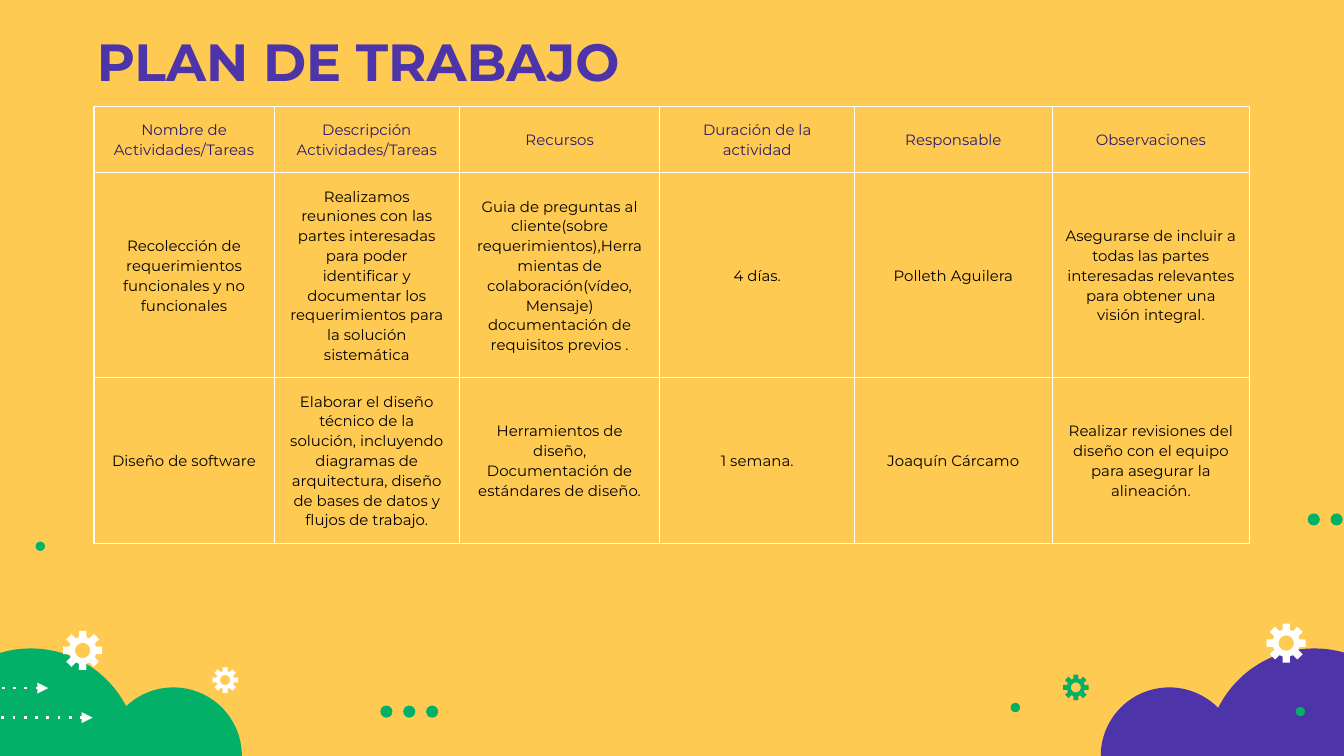
from math import cos, pi, sin

from lxml import etree
from pptx import Presentation
from pptx.dml.color import RGBColor
from pptx.enum.shapes import MSO_CONNECTOR, MSO_SHAPE
from pptx.enum.text import MSO_ANCHOR, MSO_AUTO_SIZE, PP_ALIGN
from pptx.oxml.ns import qn
from pptx.util import Inches, Pt

OVAL = MSO_SHAPE.OVAL
STRAIGHT = MSO_CONNECTOR.STRAIGHT
MIDDLE = MSO_ANCHOR.MIDDLE
NO_FIT = MSO_AUTO_SIZE.NONE
LEFT, CENTER = PP_ALIGN.LEFT, PP_ALIGN.CENTER

# The grid has square units of a tenth of an inch.
COLUMNS, ROWS = 100, 56.25

YELLOW, PURPLE, GREEN = "FFCA51", "4D34A8", "03B068"
WHITE, BLACK, INDIGO = "FFFFFF", "000000", "2C1A6D"

COLUMN_WIDTHS = [13.4, 13.8, 14.9, 14.5, 14.7, 14.7]
ROW_HEIGHTS = [4.4, 9.2, 10.6]
PLAN = [
    ["Nombre de Actividades/Tareas", "Descripción Actividades/Tareas",
     "Recursos", "Duración de la actividad", "Responsable", "Observaciones"],
    ["Recolección de requerimientos funcionales y no funcionales",
     "Realizamos reuniones con las partes interesadas para poder identificar "
     "y documentar los requerimientos para la solución sistemática",
     "Guia de preguntas al cliente(sobre requerimientos),Herramientas de "
     "colaboración(vídeo, Mensaje) documentación de requisitos previos .",
     "4 días.", "Polleth Aguilera",
     "Asegurarse de incluir a todas las partes interesadas relevantes para "
     "obtener una visión integral."],
    ["Diseño de software",
     "Elaborar el diseño técnico de la solución, incluyendo diagramas de "
     "arquitectura, diseño de bases de datos y flujos de trabajo.",
     "Herramientos de diseño, Documentación de estándares de diseño.",
     "1 semana.", "Joaquín Cárcamo",
     "Realizar revisiones del diseño con el equipo para asegurar la "
     "alineación."],
]


def rgb(value):
    return RGBColor.from_string(value)


def grid(units):
    return Inches(units / 10)


def arc(x, y, radius, start, end, steps=64):
    """Return points along a circle, with angles in radians."""
    angles = [start + (end - start) * i / steps for i in range(steps + 1)]
    return [(x + radius * cos(a), y + radius * sin(a)) for a in angles]


class SlideBuilder:
    font = "Montserrat"

    def __init__(self, prs, background):
        self.slide = prs.slides.add_slide(prs.slide_layouts[5])
        self.shapes = self.slide.shapes
        fill = self.slide.background.fill
        fill.solid()
        fill.fore_color.rgb = rgb(background)

    def paint(self, sp, color):
        sp.shadow.inherit = False
        sp.fill.solid()
        sp.fill.fore_color.rgb = rgb(color)
        sp.line.fill.background()

    def run(self, p, text, size, color, bold=False):
        r = p.add_run()
        r.text = text
        r.font.name, r.font.size, r.font.bold = self.font, Pt(size), bold
        r.font.color.rgb = rgb(color)

    def title(self, text, x, y, width, height):
        sp = self.shapes.title
        sp.left, sp.top, sp.width, sp.height = map(grid, (x, y, width, height))
        tf = sp.text_frame
        tf.auto_size, tf.vertical_anchor = NO_FIT, MIDDLE
        tf.margin_left = tf.margin_right = grid(1)
        tf.margin_top = tf.margin_bottom = grid(1)
        tf.paragraphs[0].alignment = LEFT
        self.run(tf.paragraphs[0], text, 28, PURPLE, True)

    def outline(self, contours, color):
        """Fill closed contours; an inner one becomes a hole."""
        contours = [[(grid(x), grid(y)) for x, y in c] for c in contours]
        builder = self.shapes.build_freeform(*contours[0][0], scale=1.0)
        builder.add_line_segments(contours[0][1:])
        for contour in contours[1:]:
            builder.move_to(*contour[0])
            builder.add_line_segments(contour[1:])
        self.paint(builder.convert_to_shape(), color)

    def hill(self, x, radius, color):
        self.outline([arc(x, ROWS, radius, pi, 2 * pi)], color)

    def gear(self, x, y, radius, color):
        tooth = [(-0.19, -0.68), (-0.19, -1), (0.19, -1), (0.19, -0.68)]
        rim = []
        for i in range(8):
            c, s = cos(i * pi / 4), sin(i * pi / 4)
            rim += [(x + radius * (u * c - v * s), y + radius * (u * s + v * c))
                    for u, v in tooth]
        hole = arc(x, y, 0.39 * radius, 2 * pi, 0)
        self.outline([rim + rim[:1], hole], color)

    def dots(self, x, y, size, count=1, gap=1.7):
        for i in range(count):
            sp = self.shapes.add_shape(
                OVAL, grid(x + i * gap), grid(y), grid(size), grid(size))
            self.paint(sp, GREEN)

    def dotted_arrow(self, x, y, length):
        line = self.shapes.add_connector(
            STRAIGHT, grid(x), grid(y), grid(x + length), grid(y))
        line.line.color.rgb = rgb(WHITE)
        line.line.width = Pt(1.5)
        ln = line.line._get_or_add_ln()
        etree.SubElement(ln, qn("a:prstDash"), val="dot")
        for tag, kind in (("a:headEnd", "oval"), ("a:tailEnd", "triangle")):
            etree.SubElement(ln, qn(tag), type=kind)
        etree.SubElement(ln.getparent(), qn("a:effectLst"))

    def cell_borders(self, cell):
        tc_pr = cell._tc.get_or_add_tcPr()
        for i, side in enumerate(("a:lnL", "a:lnR", "a:lnT", "a:lnB")):
            ln = etree.Element(qn(side), w=str(Pt(0.75)))
            fill = etree.SubElement(ln, qn("a:solidFill"))
            etree.SubElement(fill, qn("a:srgbClr"), val=WHITE)
            tc_pr.insert(i, ln)

    def table(self, rows, x, y, widths, heights):
        table = self.shapes.add_table(
            len(rows), len(widths), grid(x), grid(y),
            grid(sum(widths)), grid(sum(heights))).table
        table.first_row = table.horz_banding = False
        for column, width in zip(table.columns, widths):
            column.width = grid(width)
        for i, (row, height) in enumerate(zip(rows, heights)):
            table.rows[i].height = grid(height)
            for j, text in enumerate(row):
                cell = table.cell(i, j)
                cell.fill.background()
                cell.vertical_anchor = MIDDLE
                cell.margin_left = cell.margin_right = grid(1)
                cell.margin_top = cell.margin_bottom = grid(1)
                p = cell.text_frame.paragraphs[0]
                p.alignment, p.line_spacing, p.space_after = CENTER, 1.08, Pt(8)
                self.run(p, text, 8, BLACK if i else INDIGO)
                self.cell_borders(cell)


def main():
    prs = Presentation()
    prs.slide_width, prs.slide_height = grid(COLUMNS), grid(ROWS)
    s = SlideBuilder(prs, YELLOW)

    for x, radius, color in ((87, 5.1, PURPLE), (97.8, 8, PURPLE),
                             (12.9, 5.1, GREEN), (2.3, 8, GREEN)):
        s.hill(x, radius, color)
    for x, y in ((96.4, 52.6), (2.65, 40.3), (75.2, 52.3)):
        s.dots(x, y, 0.7)
    s.dots(97.3, 38.2, 0.9, count=2)
    s.dots(28.3, 52.5, 0.9, count=3)
    for x, y in ((-8.6, 53.4), (-11.9, 51.2)):
        s.dotted_arrow(x, y, 15.5)
    for x, y, radius, color in ((95.7, 47.85, 1.45, WHITE),
                                (6.15, 48.4, 1.45, WHITE),
                                (80.05, 51.15, 0.95, GREEN),
                                (16.75, 50.6, 0.95, WHITE)):
        s.gear(x, y, radius, color)

    s.title("PLAN DE TRABAJO", 6.2, 1.1, 84.4, 6.8)
    s.table(PLAN, 7, 7.9, COLUMN_WIDTHS, ROW_HEIGHTS)
    prs.save("out.pptx")


if __name__ == "__main__":
    main()
